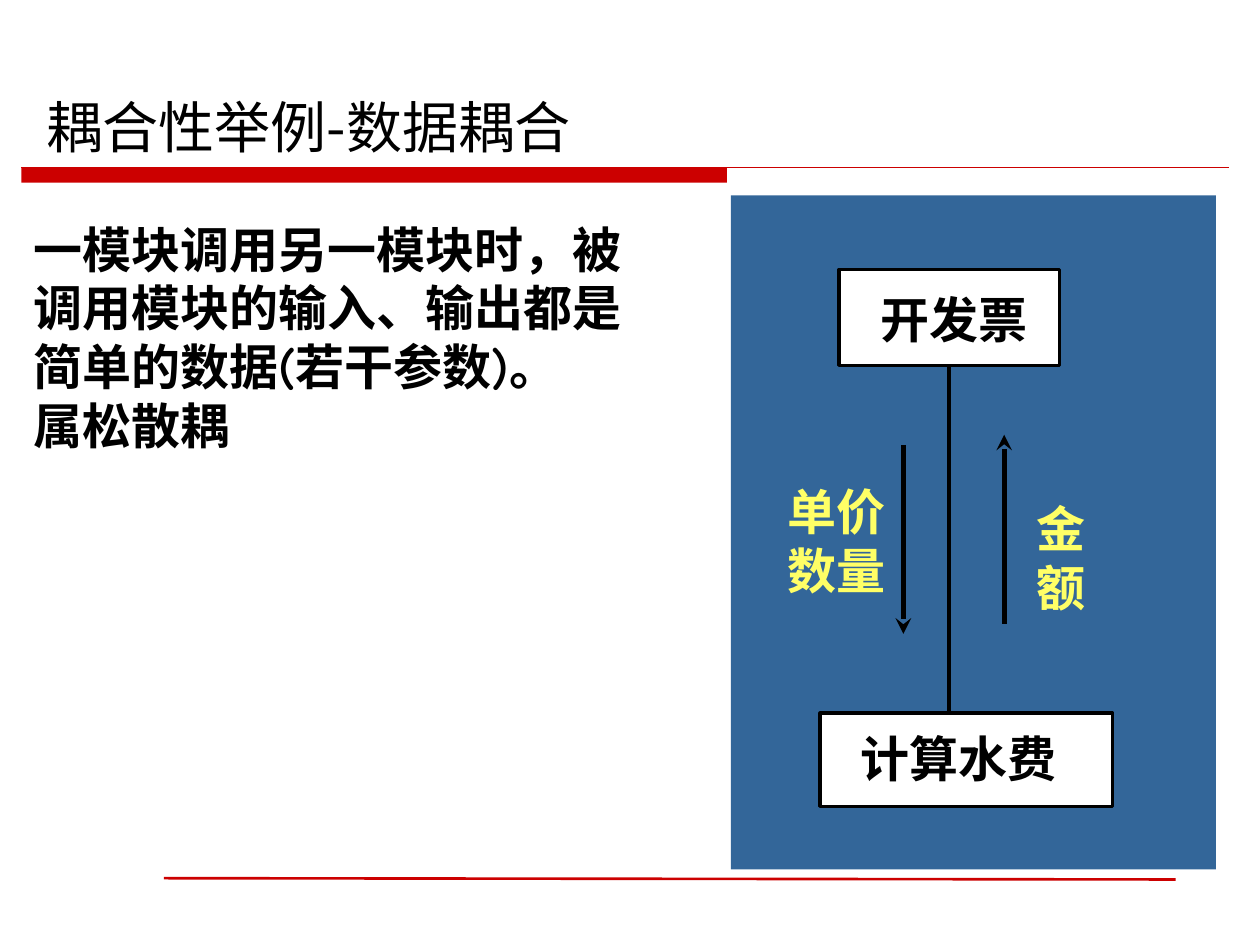
from dataclasses import dataclass

from lxml.etree import SubElement
from pptx import Presentation
from pptx.dml.color import RGBColor
from pptx.enum.shapes import MSO_CONNECTOR as Connector, MSO_SHAPE as Shape
from pptx.enum.text import MSO_ANCHOR as Anchor, MSO_AUTO_SIZE as AutoSize
from pptx.oxml.ns import qn
from pptx.slide import Slide
from pptx.util import Pt

EMU_PER_PX = 9144
COLORS = {
    "red": "CC0000",
    "blue": "336699",
    "white": "FFFFFF",
    "black": "000000",
    "yellow": "FFFF66",
}
SANS_SC = "Noto Sans CJK SC"
SANS_JP = "Noto Sans CJK JP"
COMIC = "Comic Neue"


@dataclass(frozen=True)
class Block:
    left: int
    top: int
    width: int
    height: int
    fill: str
    outline: str = ""


@dataclass(frozen=True)
class Stroke:
    x1: int
    y1: int
    x2: int
    y2: int
    color: str
    weight: float
    arrow: bool = False


@dataclass(frozen=True)
class Label:
    left: int
    top: int
    width: int
    height: int
    text: str
    font: str = SANS_JP
    asian_font: str = SANS_JP
    color: str = "black"
    size: int = 28
    bold: bool = True
    anchor: Anchor = Anchor.TOP


ITEMS = [
    Block(17, 133, 560, 12, "red"),
    Stroke(17, 133, 975, 133, "red", 0.75),
    Stroke(130, 697, 933, 698, "red", 1.5),
    Label(27, 49, 876, 102, "耦合性举例-数据耦合", SANS_SC, SANS_SC,
          size=32, bold=False, anchor=Anchor.MIDDLE),
    Block(580, 155, 385, 535, "blue"),
    Block(666, 214, 175, 76, "white", "black"),
    Label(689, 225, 144, 57, "开发票"),
    Stroke(753, 290, 753, 566, "black", 2),
    Block(651, 566, 232, 74, "white", "black"),
    Label(673, 573, 210, 57, "计算水费"),
    Stroke(717, 353, 717, 503, "black", 3, arrow=True),
    Stroke(797, 495, 797, 345, "black", 3, arrow=True),
    Label(615, 377, 118, 104, "单价\n数量", color="yellow"),
    Label(813, 391, 91, 104, "金额", SANS_SC, SANS_SC, "yellow"),
    Label(17, 169, 500, 197,
          "一模块调用另一模块时，被调用模块的输入、输出都是简单的数据(若干参数)。\n属松散耦",
          COMIC, SANS_SC),
]


def px(*lengths: int) -> list[int]:
    return [length * EMU_PER_PX for length in lengths]


def rgb(name: str) -> RGBColor:
    return RGBColor.from_string(COLORS[name])


def draw_block(page: Slide, block: Block) -> None:
    shape = page.shapes.add_shape(
        Shape.RECTANGLE, *px(block.left, block.top, block.width, block.height))
    shape.shadow.inherit = False
    shape.fill.solid()
    shape.fill.fore_color.rgb = rgb(block.fill)
    if block.outline:
        shape.line.color.rgb = rgb(block.outline)
        shape.line.width = Pt(2)
    else:
        shape.line.fill.background()


def draw_stroke(page: Slide, stroke: Stroke) -> None:
    connector = page.shapes.add_connector(
        Connector.STRAIGHT, *px(stroke.x1, stroke.y1, stroke.x2, stroke.y2))
    connector.line.color.rgb = rgb(stroke.color)
    connector.line.width = Pt(stroke.weight)
    properties = connector._element.spPr
    if stroke.arrow:
        SubElement(properties.find(qn("a:ln")), qn("a:tailEnd"), type="stealth")
    SubElement(properties, qn("a:effectLst"))


def draw_label(page: Slide, label: Label) -> None:
    box = page.shapes.add_textbox(
        *px(label.left, label.top, label.width, label.height))
    frame = box.text_frame
    frame.word_wrap = True
    frame.auto_size = AutoSize.NONE
    frame.vertical_anchor = label.anchor
    frame.text = label.text
    for para in frame.paragraphs:
        for span in para.runs:
            span.font.name = label.font
            span.font.size = Pt(label.size)
            span.font.bold = label.bold
            span.font.color.rgb = rgb(label.color)
            SubElement(span.font._element, qn("a:ea"), typeface=label.asian_font)


def main() -> None:
    deck = Presentation()
    deck.slide_width, deck.slide_height = px(1000, 750)
    page = deck.slides.add_slide(deck.slide_layouts[6])
    painters = {Block: draw_block, Stroke: draw_stroke, Label: draw_label}
    for item in ITEMS:
        painters[type(item)](page, item)
    deck.save("out.pptx")


if __name__ == "__main__":
    main()
